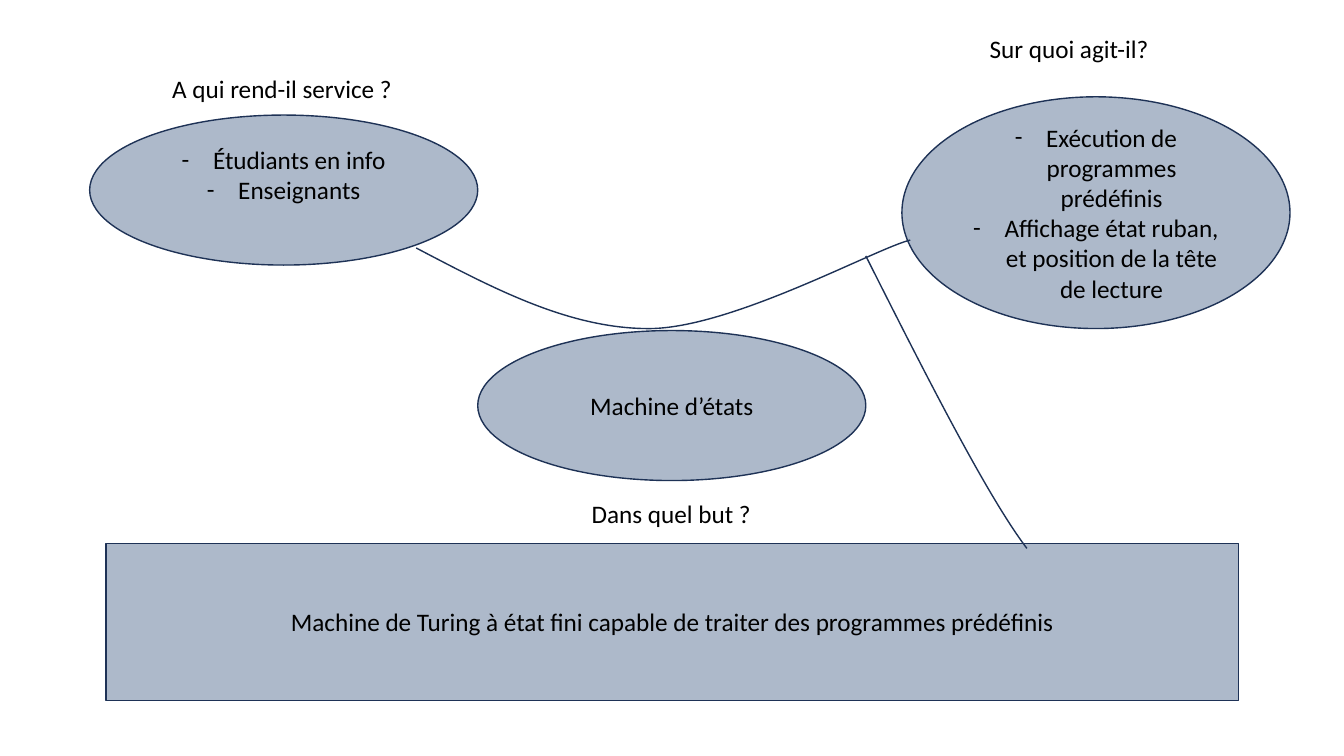
from lxml import etree
from pptx import Presentation
from pptx.dml.color import RGBColor
from pptx.enum.shapes import MSO_SHAPE
from pptx.enum.text import MSO_ANCHOR, MSO_AUTO_SIZE, PP_ALIGN
from pptx.oxml.ns import qn
from pptx.util import Cm, Pt

ELLIPSE, RECTANGLE = MSO_SHAPE.OVAL, MSO_SHAPE.RECTANGLE
CENTER, LEFT = PP_ALIGN.CENTER, PP_ALIGN.LEFT
MIDDLE = MSO_ANCHOR.MIDDLE
GROW = MSO_AUTO_SIZE.SHAPE_TO_FIT_TEXT
BLUE_GREY = RGBColor(0xAD, 0xB9, 0xCA)
NAVY = RGBColor(0x1E, 0x32, 0x56)
BLACK = RGBColor(0, 0, 0)
WHITE = RGBColor(0xFF, 0xFF, 0xFF)
BUBBLE_WIDTH, BUBBLE_HEIGHT = 9.78, 3.78


def write_text(frame, *lines, align=CENTER, dashed=False, size=18, color=BLACK):
    """Fill a text frame with one paragraph per line."""
    for index, line in enumerate(lines):
        paragraph = frame.add_paragraph() if index else frame.paragraphs[0]
        paragraph.alignment = align
        run = paragraph.add_run()
        run.text = line
        run.font.name = "Calibri"
        run.font.size = Pt(size)
        run.font.color.rgb = color
        if dashed:
            properties = paragraph._p.get_or_add_pPr()
            properties.set("marL", str(Cm(0.79)))
            properties.set("indent", str(Cm(-0.79)))
            etree.SubElement(properties, qn("a:buFont"), typeface="Calibri")
            etree.SubElement(properties, qn("a:buChar"), char="-")


def outline(shape):
    """Give a shape the common thin line without a shadow."""
    shape.shadow.inherit = False
    shape.line.color.rgb = NAVY
    shape.line.width = Pt(1)


def add_idea(slide, kind, left, top, width, height, *lines, dashed=False, bottom=0.13):
    """Add a filled shape that holds an idea or a list."""
    idea = slide.shapes.add_shape(kind, Cm(left), Cm(top), Cm(width), Cm(height))
    outline(idea)
    idea.fill.solid()
    idea.fill.fore_color.rgb = BLUE_GREY
    frame = idea.text_frame
    frame.word_wrap = True
    frame.vertical_anchor = MIDDLE
    frame.margin_bottom = Cm(bottom)
    write_text(frame, *lines, dashed=dashed)


def add_question(slide, left, top, width, wording):
    """Add a one-line question above its answer."""
    question = slide.shapes.add_textbox(Cm(left), Cm(top), Cm(width), Cm(1.02))
    question.text_frame.word_wrap = False
    question.text_frame.auto_size = GROW
    write_text(question.text_frame, wording, align=LEFT)


def add_curve(slide, start, *controls):
    """Add an open Bézier curve, with three control points per segment."""
    builder = slide.shapes.build_freeform(Cm(start[0]), Cm(start[1]))
    builder.add_line_segments([(Cm(x), Cm(y)) for x, y in controls], close=False)
    curve = builder.convert_to_shape()
    outline(curve)
    curve.fill.background()
    outline_path = curve._element.find(".//" + qn("a:path"))
    steps = outline_path.findall(qn("a:lnTo"))
    for first in range(0, len(steps), 3):
        segment = etree.SubElement(outline_path, qn("a:cubicBezTo"))
        for step in steps[first:first + 3]:
            segment.append(step[0])
            outline_path.remove(step)


def main():
    """Build the needs diagram and save it."""
    presentation = Presentation()
    presentation.slide_width, presentation.slide_height = Cm(33.87), Cm(19.05)
    slide = presentation.slides.add_slide(presentation.slide_layouts[6])
    slide.background.fill.solid()
    slide.background.fill.fore_color.rgb = WHITE

    add_idea(slide, ELLIPSE, 2.26, 2.9, BUBBLE_WIDTH, BUBBLE_HEIGHT,
             "Étudiants en info", "Enseignants", dashed=True, bottom=0.9)
    add_idea(slide, ELLIPSE, 22.73, 2.44, BUBBLE_WIDTH, 5.84,
             "Exécution de programmes prédéfinis",
             "Affichage état ruban, et position de la tête de lecture", dashed=True)
    add_idea(slide, ELLIPSE, 12.04, 8.33, BUBBLE_WIDTH, BUBBLE_HEIGHT, "Machine d’états")
    add_idea(slide, RECTANGLE, 2.67, 13.69, 28.55, 3.96,
             "Machine de Turing à état fini capable de traiter des programmes prédéfinis")

    add_question(slide, 4.09, 1.73, 6.12, "A qui rend-il service ?")
    add_question(slide, 24.69, 0.71, 4.57, "Sur quoi agit-il?")
    add_question(slide, 14.66, 12.42, 4.57, "Dans quel but ?")

    add_curve(slide, (21.82, 6.45), (23.34, 9.47), (24.89, 12.52), (25.88, 13.82))
    add_curve(slide, (10.49, 6.25), (12.42, 7.26), (14.38, 8.31), (16.43, 8.28),
              (18.52, 8.23), (22.1, 6.25), (22.94, 6.05))

    presentation.save("out.pptx")


if __name__ == "__main__":
    main()
